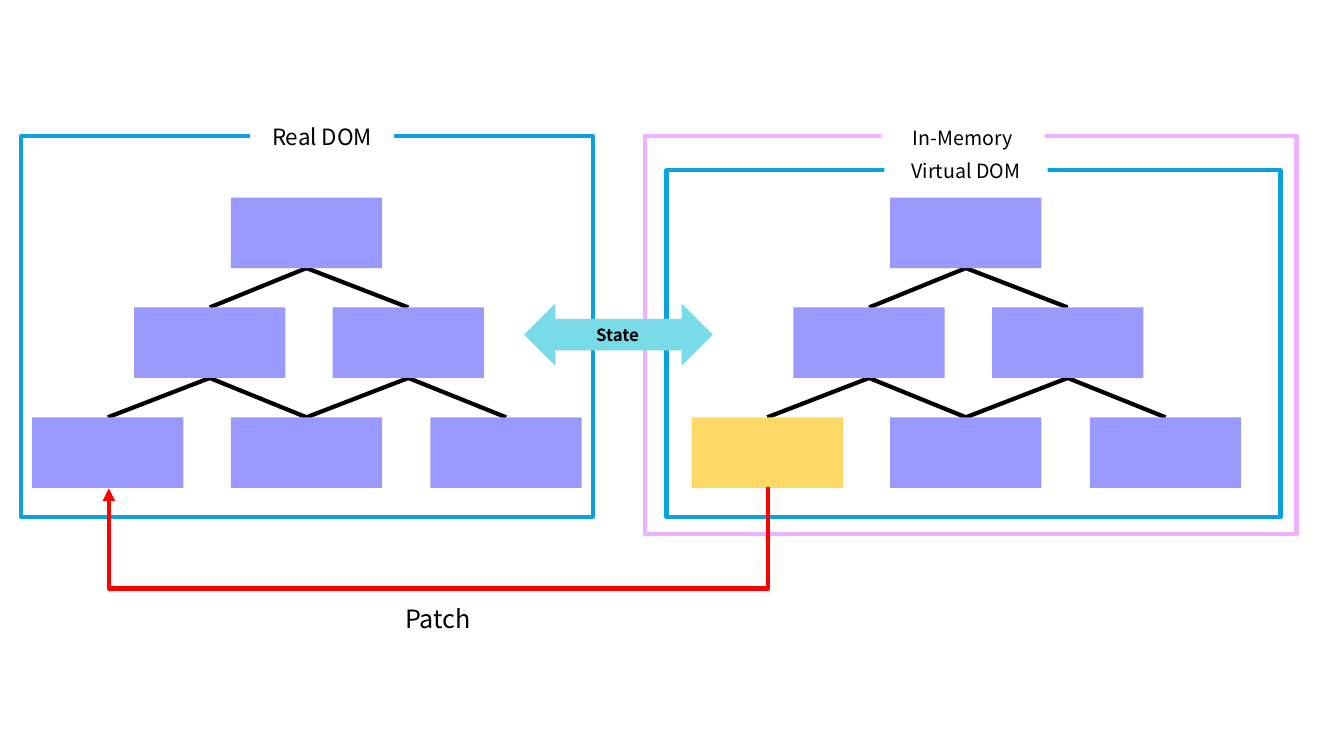
from dataclasses import dataclass

from lxml import etree
from pptx import Presentation
from pptx.dml.color import RGBColor
from pptx.enum.shapes import MSO_CONNECTOR, MSO_SHAPE
from pptx.enum.text import MSO_ANCHOR, MSO_AUTO_SIZE, PP_ALIGN
from pptx.oxml.ns import qn
from pptx.util import Inches, Pt

RECT, ARROW = MSO_SHAPE.RECTANGLE, MSO_SHAPE.LEFT_RIGHT_ARROW
LINE, ELBOW = MSO_CONNECTOR.STRAIGHT, MSO_CONNECTOR.ELBOW
MIDDLE, TOP = MSO_ANCHOR.MIDDLE, MSO_ANCHOR.TOP
CENTER, GROW = PP_ALIGN.CENTER, MSO_AUTO_SIZE.SHAPE_TO_FIT_TEXT


@dataclass(frozen=True)
class Theme:
    """Colours, type sizes and line width of the slide."""
    font: str = "Noto Sans CJK KR"
    white: str = "FFFFFF"
    black: str = "000000"
    blue: str = "0AA1DD"
    pink: str = "EFB1FF"
    node: str = "9999FF"
    hot: str = "FFD966"
    state: str = "79DAE8"
    patch: str = "FF0000"
    stroke: int = 3
    small: int = 12
    label: int = 14
    title: int = 16
    large: int = 18


THEME = Theme()
NODE_W, NODE_H, ROW_STEP = 1.5, 0.7, 1.09
ROWS = [[0], [-0.96, 1.01], [-1.97, 0, 1.98]]


def set_all(item, values):
    """Set each named attribute of an item."""
    for name, value in values.items():
        setattr(item, name, value)


def add_box(slide, box, fill, line=None, kind=RECT):
    """Draw a filled shape with an optional outline."""
    shape = slide.shapes.add_shape(kind, *map(Inches, box))
    shape.shadow.inherit = False
    shape.fill.solid()
    shape.fill.fore_color.rgb = RGBColor.from_string(fill)
    if line:
        shape.line.color.rgb = RGBColor.from_string(line)
        shape.line.width = Pt(THEME.stroke)
    else:
        shape.line.fill.background()
    return shape


def write(shape, text, size, bold=False, anchor=MIDDLE):
    """Put one centred line of text in a shape."""
    frame = shape.text_frame
    set_all(frame, {"word_wrap": True, "auto_size": GROW, "vertical_anchor": anchor})
    para = frame.paragraphs[0]
    para.alignment = CENTER
    run = para.add_run()
    run.text = text
    set_all(run.font, {"name": THEME.font, "size": Pt(size), "bold": bold})
    run.font.color.rgb = RGBColor.from_string(THEME.black)


def add_text(slide, box, text, size, bold=False):
    """Add a plain text box."""
    shape = slide.shapes.add_textbox(*map(Inches, box))
    write(shape, text, size, bold, TOP)


def add_line(slide, start, end, color, kind=LINE):
    """Join two points with a connector."""
    line = slide.shapes.add_connector(kind, *map(Inches, (*start, *end)))
    line.line.color.rgb = RGBColor.from_string(color)
    line.line.width = Pt(THEME.stroke)
    etree.SubElement(line._element.spPr, qn("a:effectLst"))
    return line


def draw_panel(slide, box, color, label, tag, size):
    """Draw a frame with a label set into its top edge."""
    add_box(slide, box, THEME.white, color)
    left, top = box[:2]
    dx, dy, wide, high = tag
    shape = add_box(slide, (left + dx, top + dy, wide, high), THEME.white)
    write(shape, label, size)


def draw_tree(slide, mid, top, first):
    """Draw three rows of nodes, with the first leaf in its own colour."""
    for row in range(len(ROWS) - 1):
        foot = top + row * ROW_STEP + NODE_H
        head = top + (row + 1) * ROW_STEP
        for col, dx in enumerate(ROWS[row]):
            for kid in ROWS[row + 1][col:col + 2]:
                add_line(slide, (mid + dx, foot), (mid + kid, head), THEME.black)
    for row, spots in enumerate(ROWS):
        for col, dx in enumerate(spots):
            fill = first if (row, col) == (2, 0) else THEME.node
            box = (mid + dx - NODE_W / 2, top + row * ROW_STEP, NODE_W, NODE_H)
            add_box(slide, box, fill)


def draw_real(slide, box):
    """Draw the real DOM panel and its tree."""
    draw_panel(slide, box, THEME.blue, "Real DOM", (2.27, -0.18, 1.43, 0.37), THEME.title)
    draw_tree(slide, box[0] + 2.83, box[1] + 0.61, THEME.node)


def draw_memory(slide, box):
    """Draw the in-memory panel with the virtual DOM inside."""
    left, top, wide, high = box
    draw_panel(slide, box, THEME.pink, "In-Memory", (2.34, -0.15, 1.62, 0.34), THEME.label)
    inner = (left + 0.21, top + 0.34, wide - 0.37, high - 0.51)
    draw_panel(slide, inner, THEME.blue, "Virtual DOM", (2.16, -0.17, 1.62, 0.34), THEME.label)
    draw_tree(slide, left + 3.18, top + 0.61, THEME.hot)


def draw_patch(slide, box):
    """Draw the red return path under the trees and its label."""
    left, top, wide, drop = box
    gap = 0.01
    mid = left + wide / 2
    start = (mid - gap / 2, top - wide / 2)
    end = (mid + gap / 2, top + wide / 2)
    path = add_line(slide, start, end, THEME.patch, ELBOW)
    path.rotation = 90
    guides = path._element.spPr.find(qn("a:prstGeom")).get_or_add_avLst()
    ratio = round(drop / gap * 100000)
    etree.SubElement(guides, qn("a:gd"), name="adj1", fmla=f"val {ratio}")
    etree.SubElement(path.line._get_or_add_ln(), qn("a:tailEnd"), type="triangle")
    add_text(slide, (left + 2.73, top + drop + 0.08, 1.07, 0.4), "Patch", THEME.large)


def draw_state(slide, box):
    """Draw the two-way state arrow and its label."""
    add_box(slide, box, THEME.state, kind=ARROW)
    left, top = box[:2]
    add_text(slide, (left + 0.39, top + 0.16, 1.07, 0.3), "State", THEME.small, True)


def main():
    """Build and save the slide."""
    deck = Presentation()
    set_all(deck, {"slide_width": Inches(13.33), "slide_height": Inches(7.5)})
    slide = deck.slides.add_slide(deck.slide_layouts[6])
    draw_memory(slide, (6.4, 1.35, 6.46, 3.95))
    draw_real(slide, (0.21, 1.35, 5.67, 3.78))
    draw_patch(slide, (1.08, 4.84, 6.54, 1.02))
    draw_state(slide, (5.2, 3.01, 1.87, 0.62))
    deck.save("out.pptx")


if __name__ == "__main__":
    main()
